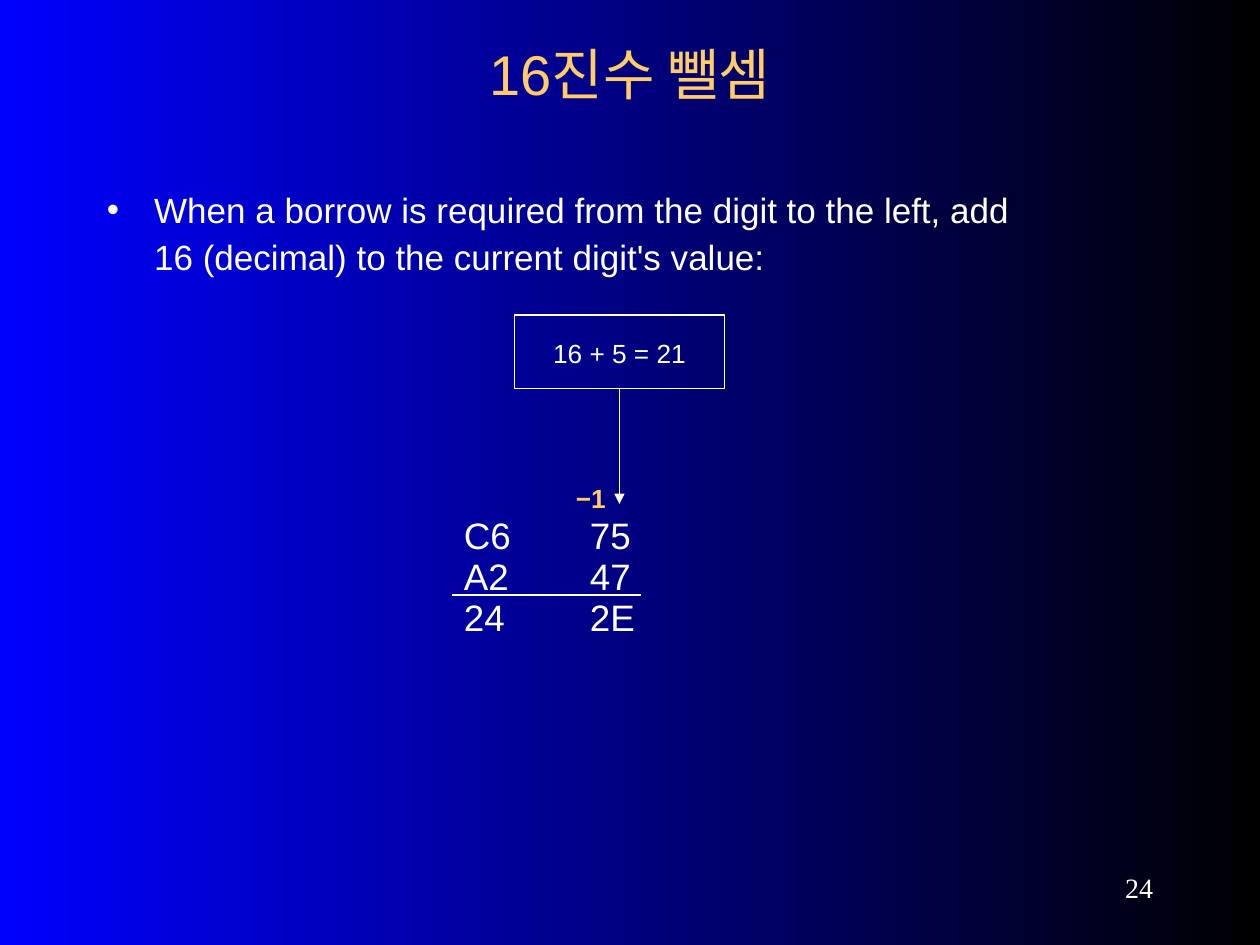
from lxml import etree
from pptx import Presentation
from pptx import util as u
from pptx.dml import color
from pptx.enum import shapes, text
from pptx.oxml import ns

WHITE, GOLD = "FFFFFF", "FFCC66"
LEFT, MID, RIGHT = text.PP_ALIGN.LEFT, text.PP_ALIGN.CENTER, text.PP_ALIGN.RIGHT


def rgb(hue):
    return color.RGBColor.from_string(hue)


def sub(root, tag, **attrs):
    return etree.SubElement(root, ns.qn(tag), attrs)


def place(shape, left, top, width, height):
    shape.left, shape.top = u.Pt(left), u.Pt(top)
    shape.width, shape.height = u.Pt(width), u.Pt(height)


def write(shape, lines, size=20, hue=WHITE, face="Arial", bold=False,
          align=LEFT, pad=3.6, lead=None, anchor=text.MSO_ANCHOR.TOP,
          bullet=None, tab=None):
    frame = shape.text_frame
    frame.word_wrap = True
    frame.auto_size = text.MSO_AUTO_SIZE.NONE
    frame.vertical_anchor = anchor
    frame.margin_left = frame.margin_right = u.Pt(7.2)
    frame.margin_top = frame.margin_bottom = u.Pt(pad)
    frame.text = lines
    for par in frame.paragraphs:
        props = par._p.get_or_add_pPr()
        if bullet:
            props.set("marL", str(u.Pt(27)))
            props.set("indent", str(u.Pt(-27)))
            sub(props, "a:buFont", typeface=face)
            sub(props, "a:buChar", char=bullet)
        if tab:
            tabs = sub(props, "a:tabLst")
            sub(tabs, "a:tab", pos=str(u.Pt(tab)), algn="l")
        par.alignment = align
        par.space_before = u.Pt(0)
        if lead:
            par.line_spacing = lead
        for run in par.runs:
            font = run.font
            font.size, font.name, font.bold = u.Pt(size), face, bold
            font.color.rgb = rgb(hue)


def label(slide, box, lines, **style):
    shape = slide.shapes.add_textbox(*map(u.Pt, box))
    write(shape, lines, **style)


def frame_box(slide, box, lines, **style):
    shape = slide.shapes.add_shape(shapes.MSO_SHAPE.RECTANGLE, *map(u.Pt, box))
    shape.shadow.inherit = False
    shape.fill.background()
    shape.line.color.rgb = rgb(WHITE)
    shape.line.width = u.Pt(0.75)
    write(shape, lines, **style)


def rule(slide, ends, arrow=False):
    line = slide.shapes.add_connector(
        shapes.MSO_CONNECTOR.STRAIGHT, *map(u.Pt, ends))
    line.line.color.rgb = rgb(WHITE)
    line.line.width = u.Pt(0.75)
    if arrow:
        sub(line.line._get_or_add_ln(), "a:tailEnd", type="triangle")
    sub(line._element.spPr, "a:effectLst")


def shade(slide, hues):
    fill = slide.background.fill
    fill.gradient()
    fill.gradient_angle = 0
    for stop, hue in zip(fill.gradient_stops, hues):
        stop.color.rgb = rgb(hue)


def main():
    deck = Presentation()
    deck.slide_width, deck.slide_height = u.Pt(720), u.Pt(540)
    slide = deck.slides.add_slide(deck.slide_layouts[5])
    shade(slide, ("0000FF", "000000"))

    title = slide.shapes.title
    place(title, 54, 18, 612, 48)
    write(title, "16진수 뺄셈", size=32, hue=GOLD, align=MID,
          anchor=text.MSO_ANCHOR.MIDDLE)

    label(slide, (54, 102, 558, 60),
          "When a borrow is required from the digit to the left, "
          "add 16 (decimal) to the current digit's value:",
          lead=1.1, bullet="•")

    label(slide, (258, 295, 138, 78.5), "C6\t75\nA2\t47\n24\t2E",
          size=21, pad=0, lead=u.Pt(23.4), tab=72)
    rule(slide, (258.5, 340, 366.5, 340))
    label(slide, (322, 265, 42, 39.5), "−1",
          size=15, hue=GOLD, bold=True, pad=10.8)

    frame_box(slide, (294, 180, 120, 42), "16 + 5 = 21",
              size=15, align=MID, pad=10.8, lead=1.1)
    rule(slide, (354, 222, 354, 288), arrow=True)

    label(slide, (588, 492, 78, 30), "24", size=16, face="Times New Roman",
          align=RIGHT, anchor=text.MSO_ANCHOR.MIDDLE)
    deck.save("out.pptx")


if __name__ == "__main__":
    main()
